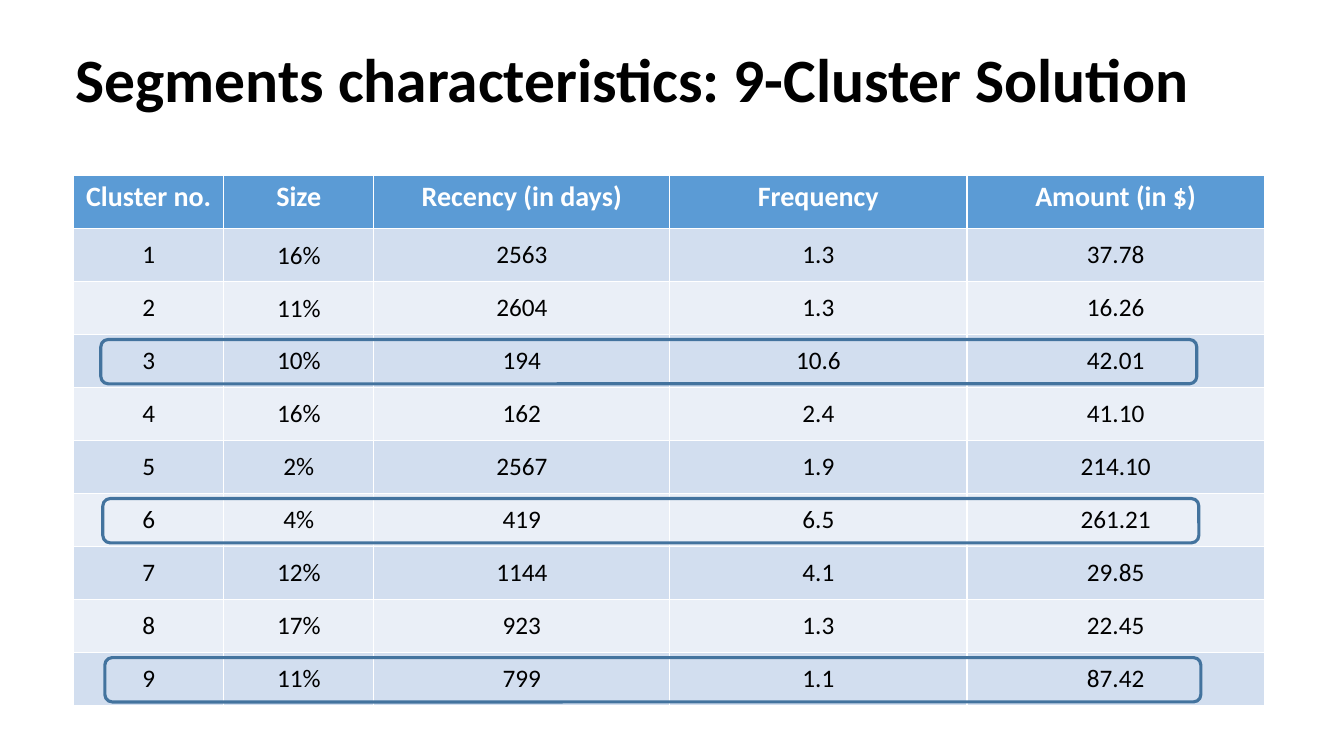
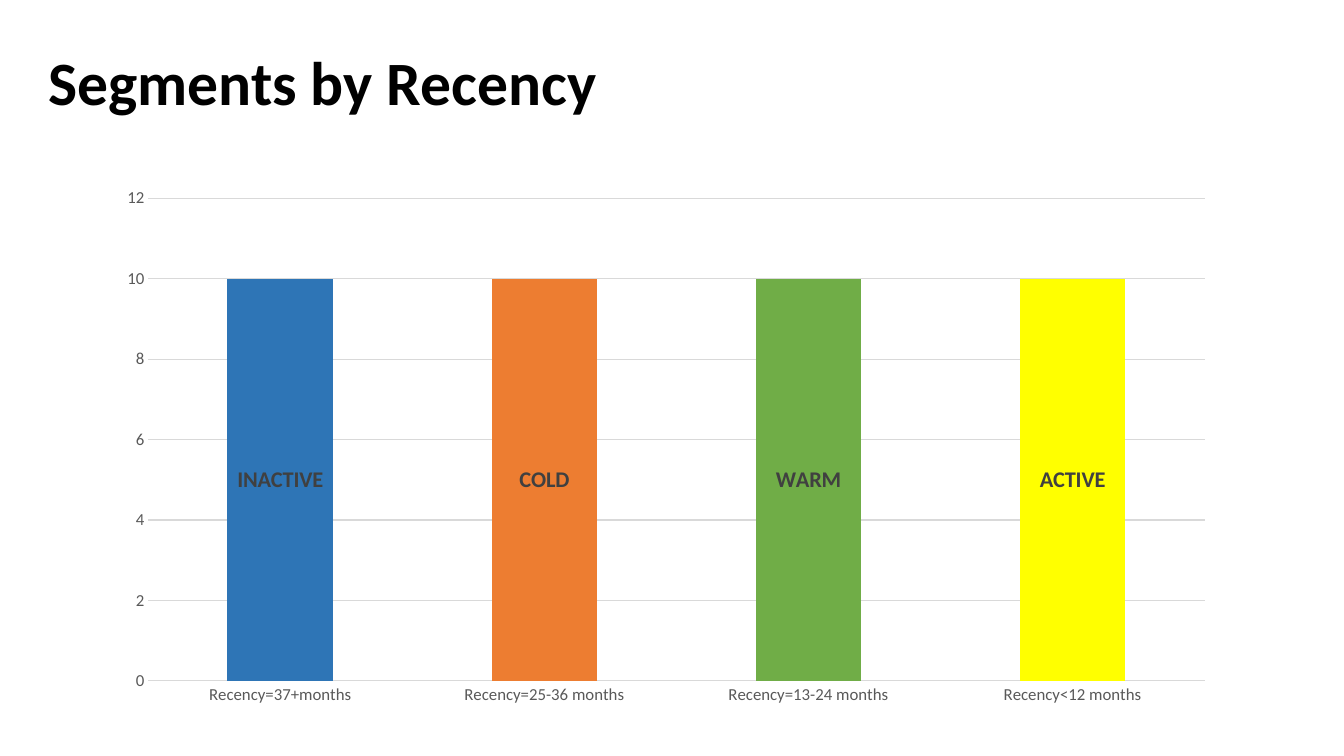
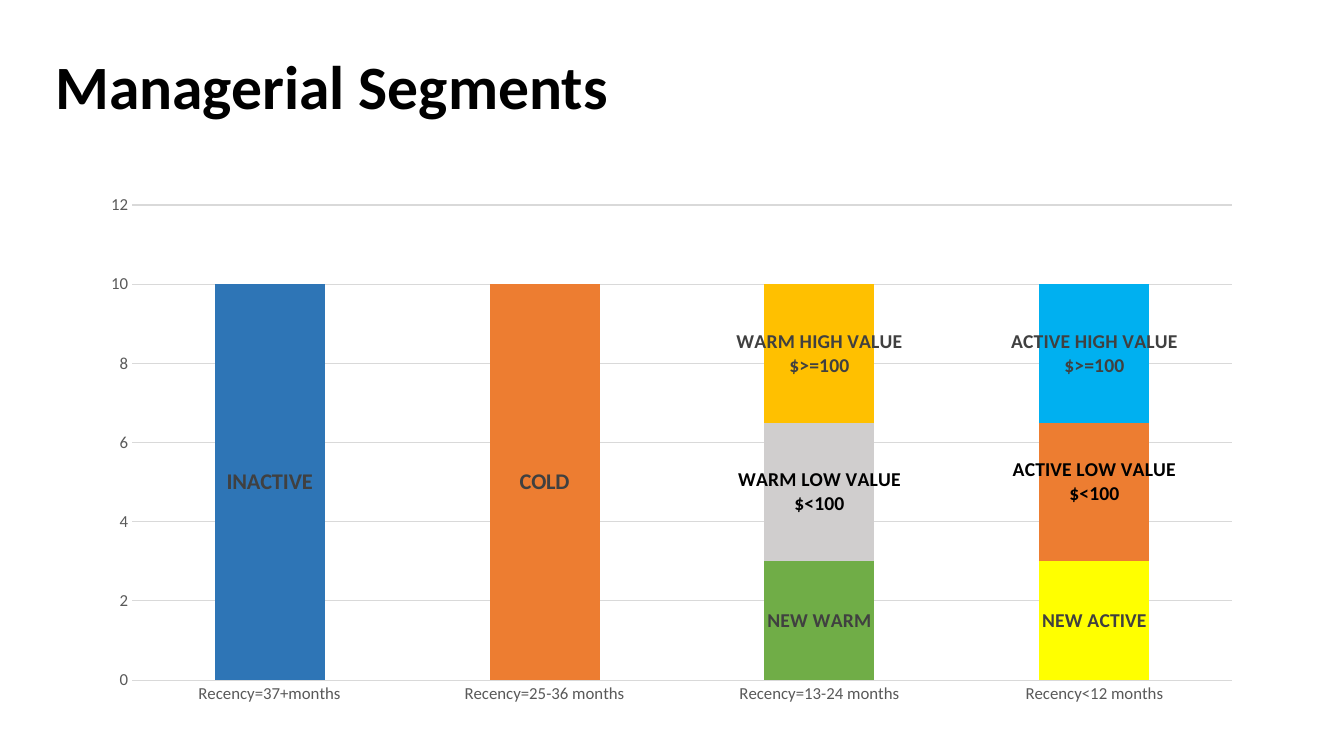
from lxml import etree
from pptx import Presentation
from pptx.chart.data import CategoryChartData
from pptx.dml.color import RGBColor
from pptx.enum.chart import XL_CHART_TYPE as ChartType, XL_LABEL_POSITION as LabelPosition
from pptx.enum.chart import XL_TICK_MARK as TickMark
from pptx.enum.shapes import MSO_SHAPE as Shape
from pptx.enum.text import MSO_ANCHOR as Anchor, PP_ALIGN as Align
from pptx.oxml.ns import qn
from pptx.util import Inches, Pt

FONT = "Calibri"
BLACK = RGBColor(0x00, 0x00, 0x00)
WHITE = RGBColor(0xFF, 0xFF, 0xFF)
HEADER_BLUE = RGBColor(0x5B, 0x9B, 0xD5)
BAND_DARK = RGBColor(0xD2, 0xDE, 0xEF)
BAND_LIGHT = RGBColor(0xEA, 0xEF, 0xF7)
OUTLINE_BLUE = RGBColor(0x43, 0x73, 0x9E)
AXIS_GREY = RGBColor(0x59, 0x59, 0x59)
GRID_GREY = RGBColor(0xD9, 0xD9, 0xD9)
LABEL_GREY = RGBColor(0x40, 0x40, 0x40)
BLUE = RGBColor(0x2E, 0x75, 0xB6)
ORANGE = RGBColor(0xED, 0x7D, 0x31)
GREEN = RGBColor(0x70, 0xAD, 0x47)
YELLOW = RGBColor(0xFF, 0xFF, 0x00)
PURPLE = RGBColor(0x70, 0x30, 0xA0)
GREY = RGBColor(0xA5, 0xA5, 0xA5)
SILVER = RGBColor(0xD0, 0xCE, 0xCE)
GOLD = RGBColor(0xFF, 0xC0, 0x00)
SKY = RGBColor(0x00, 0xB0, 0xF0)

SLIDE_WIDTH, SLIDE_HEIGHT = Inches(13.33), Inches(7.5)
TITLE_HEIGHT = 19.33
SERIES_COLORS = [PURPLE, ORANGE, GREY]
RECENCY_COLORS = [BLUE, ORANGE, GREEN, YELLOW]
RECENCY_GROUPS = ["Recency=37+months", "Recency=25-36 months",
                  "Recency=13-24 months", "Recency<12 months"]

CLUSTER_COLUMNS = [1, 1, 1.97, 1.98, 1.98]
CLUSTERS = [
    ["Cluster no.", "Size", "Recency (in days)", "Frequency", "Amount (in $)"],
    ["1", "16%", "2563", "1.3", "37.78"],
    ["2", "11%", "2604", "1.3", "16.26"],
    ["3", "10%", "194", "10.6", "42.01"],
    ["4", "16%", "162", "2.4", "41.10"],
    ["5", "2%", "2567", "1.9", "214.10"],
    ["6", "4%", "419", "6.5", "261.21"],
    ["7", "12%", "1144", "4.1", "29.85"],
    ["8", "17%", "923", "1.3", "22.45"],
    ["9", "11%", "799", "1.1", "87.42"],
]


def area(left, top, width, height):
    """Turn percentages of the slide's size into lengths."""
    return (int(SLIDE_WIDTH * left / 100), int(SLIDE_HEIGHT * top / 100),
            int(SLIDE_WIDTH * width / 100), int(SLIDE_HEIGHT * height / 100))


def set_font(font, size, color, bold=False):
    font.name, font.size, font.bold = FONT, Pt(size), bold
    font.color.rgb = color


def add_page(deck, title, left, top, width):
    page = deck.slides.add_slide(deck.slide_layouts[6])
    frame = page.shapes.add_textbox(*area(left, top, width, TITLE_HEIGHT)).text_frame
    frame.word_wrap = True
    frame.vertical_anchor = Anchor.MIDDLE
    para = frame.paragraphs[0]
    para.text, para.line_spacing = title, 0.9
    set_font(para.font, 44, BLACK, bold=True)
    return page


def fill_cell(cell, text, row, column):
    header = row == 0
    cell.text = text
    cell.fill.solid()
    cell.fill.fore_color.rgb = HEADER_BLUE if header else BAND_DARK if row % 2 else BAND_LIGHT
    cell.vertical_anchor = Anchor.TOP if header else Anchor.MIDDLE
    tight = column == 1 and not header
    cell.margin_left = cell.margin_right = Inches(0.01 if tight else 0.06)
    cell.margin_top = Inches(0.01 if tight else 0.04)
    cell.margin_bottom = Inches(0 if tight else 0.04)
    para = cell.text_frame.paragraphs[0]
    para.alignment = Align.CENTER
    set_font(para.font, 20 if header else 18, WHITE if header else BLACK, bold=header)


def add_cluster_table(page, box):
    left, top, width, height = area(*box)
    table = page.shapes.add_table(len(CLUSTERS), len(CLUSTER_COLUMNS),
                                  left, top, width, height).table
    for column, share in zip(table.columns, CLUSTER_COLUMNS):
        column.width = int(width * share / sum(CLUSTER_COLUMNS))
    for row, texts in enumerate(CLUSTERS):
        for column, text in enumerate(texts):
            fill_cell(table.cell(row, column), text, row, column)


def add_highlight(page, left, top):
    frame = page.shapes.add_shape(Shape.ROUNDED_RECTANGLE, *area(left, top, 81.55, 5.87))
    frame.shadow.inherit = False
    frame.fill.background()
    frame.line.color.rgb = OUTLINE_BLUE
    frame.line.width = Pt(2.25)


def style_axis(axis):
    axis.major_tick_mark = axis.minor_tick_mark = TickMark.NONE
    axis.format.line.fill.background()
    set_font(axis.tick_labels.font, 12, AXIS_GREY)


def label_point(point, text, size, color, lift=0):
    """Write a label in the middle of a bar, raised by a share of the chart's height."""
    label = point.data_label
    label.text_frame.text = text
    label.position = LabelPosition.CENTER
    for para in label.text_frame.paragraphs:
        for span in para.runs:
            set_font(span.font, size, color, bold=True)
    if lift:
        entry = label.text_frame._txBody.getparent().getparent()
        layout = etree.Element(qn("c:layout"))
        manual = etree.SubElement(layout, qn("c:manualLayout"))
        for axis, shift in (("c:x", 0), ("c:y", -lift)):
            etree.SubElement(manual, qn(axis)).set("val", str(shift))
        entry.find(qn("c:idx")).addnext(layout)


def add_segment_chart(page, box, stacks, point_colors, labels):
    """Colours and labels are keyed by (series, category)."""
    chart_data = CategoryChartData()
    chart_data.categories = RECENCY_GROUPS
    for number, values in enumerate(stacks, 1):
        chart_data.add_series(f"Series {number}", values)
    chart = page.shapes.add_chart(ChartType.COLUMN_STACKED, *area(*box), chart_data).chart
    chart.has_legend = chart.has_title = False
    set_font(chart.font, 10, BLACK)

    style_axis(chart.category_axis)
    scale = chart.value_axis
    style_axis(scale)
    scale.minimum_scale, scale.maximum_scale, scale.major_unit = 0, 12, 2
    scale.major_gridlines.format.line.color.rgb = GRID_GREY
    scale.major_gridlines.format.line.width = Pt(0.75)

    plot = chart.plots[0]
    plot.gap_width, plot.overlap, plot.vary_by_categories = 150, 100, False
    for series, color in zip(plot.series, SERIES_COLORS):
        series.format.fill.solid()
        series.format.fill.fore_color.rgb = color
        series.data_labels.show_value = False
    for (series, category), color in point_colors.items():
        fill = plot.series[series].points[category].format.fill
        fill.solid()
        fill.fore_color.rgb = color
    for (series, category), label in labels.items():
        label_point(plot.series[series].points[category], *label)


def add_clusters_page(deck):
    page = add_page(deck, "Segments characteristics: 9-Cluster Solution", 4.88, 1.2, 91.3)
    top, height = 23.2, 70.13
    add_cluster_table(page, (5.48, top, 88.6, height))
    for step, row in enumerate((3, 6, 9)):
        add_highlight(page, 7.5 + 0.15 * step, top + row * height / len(CLUSTERS) + 0.67)


def main():
    deck = Presentation()
    deck.slide_width, deck.slide_height = SLIDE_WIDTH, SLIDE_HEIGHT
    add_clusters_page(deck)

    base_colors = {(0, group): color for group, color in enumerate(RECENCY_COLORS)}
    page = add_page(deck, "Segments by Recency", 2.85, 1.6, 94.22)
    names = ["INACTIVE", "COLD", "WARM", "ACTIVE"]
    add_segment_chart(
        page, (7.8, 23.47, 83.5, 71.2), [[10] * 4, [0] * 4, [0] * 4], base_colors,
        {(0, group): (name, 16, LABEL_GREY) for group, name in enumerate(names)})

    page = add_page(deck, "Managerial Segments", 3.38, 2.13, 94.22)
    add_segment_chart(
        page, (6.53, 24.4, 86.87, 70.13),
        [[10, 10, 3, 3], [0, 0, 3.5, 3.5], [0, 0, 3.5, 3.5]],
        {**base_colors, (1, 2): SILVER, (2, 2): GOLD, (2, 3): SKY},
        {(0, 0): ("INACTIVE", 16, LABEL_GREY),
         (0, 1): ("COLD", 16, LABEL_GREY),
         (0, 2): ("NEW WARM", 14, LABEL_GREY),
         (0, 3): ("NEW ACTIVE", 14, LABEL_GREY),
         (1, 2): ("WARM LOW VALUE\n$<100", 14, BLACK),
         (1, 3): ("ACTIVE LOW VALUE\n$<100", 14, BLACK, 0.02),
         (2, 2): ("WARM HIGH VALUE\n$>=100", 14, LABEL_GREY),
         (2, 3): ("ACTIVE HIGH VALUE\n$>=100", 14, LABEL_GREY)})

    deck.save("out.pptx")


if __name__ == "__main__":
    main()
